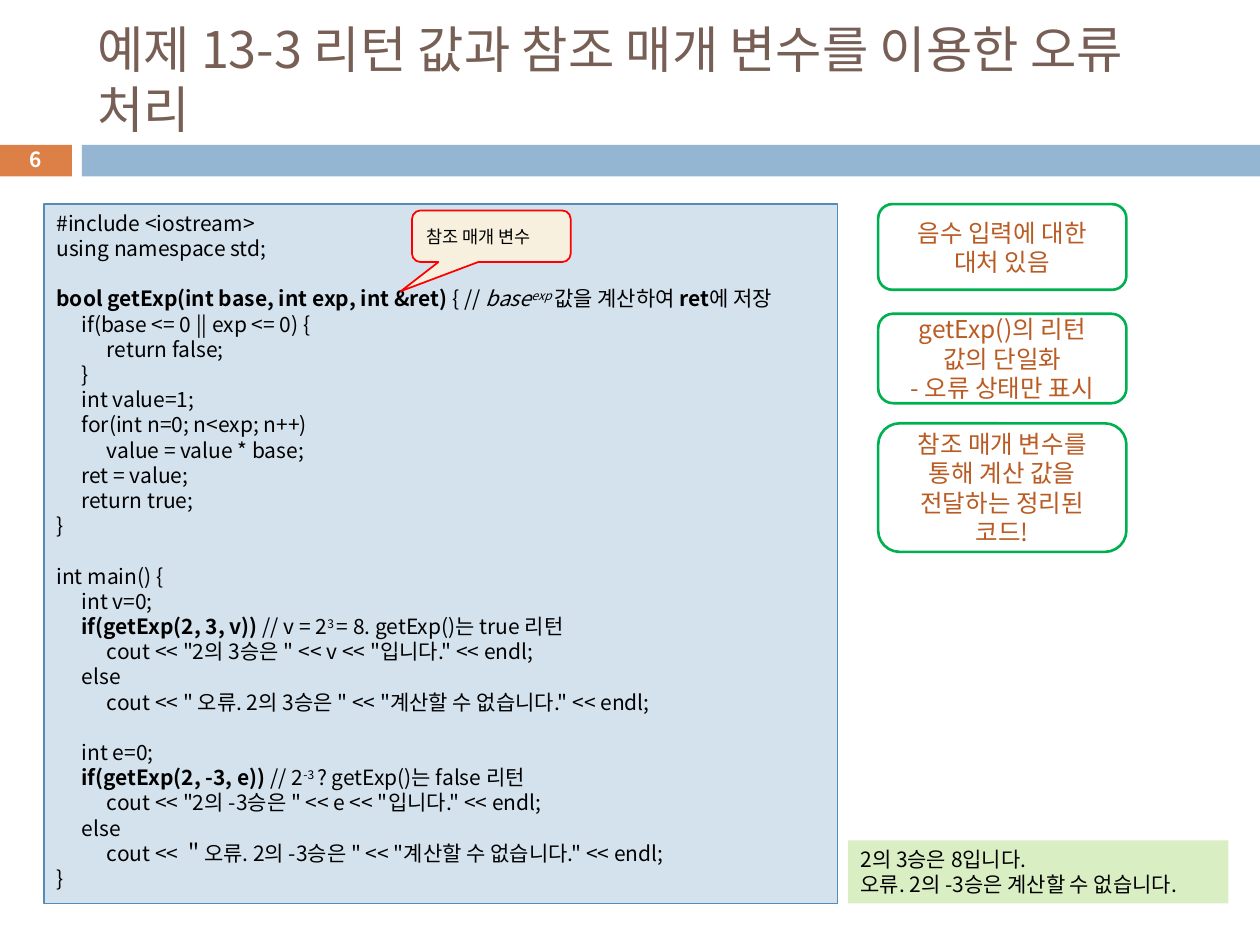
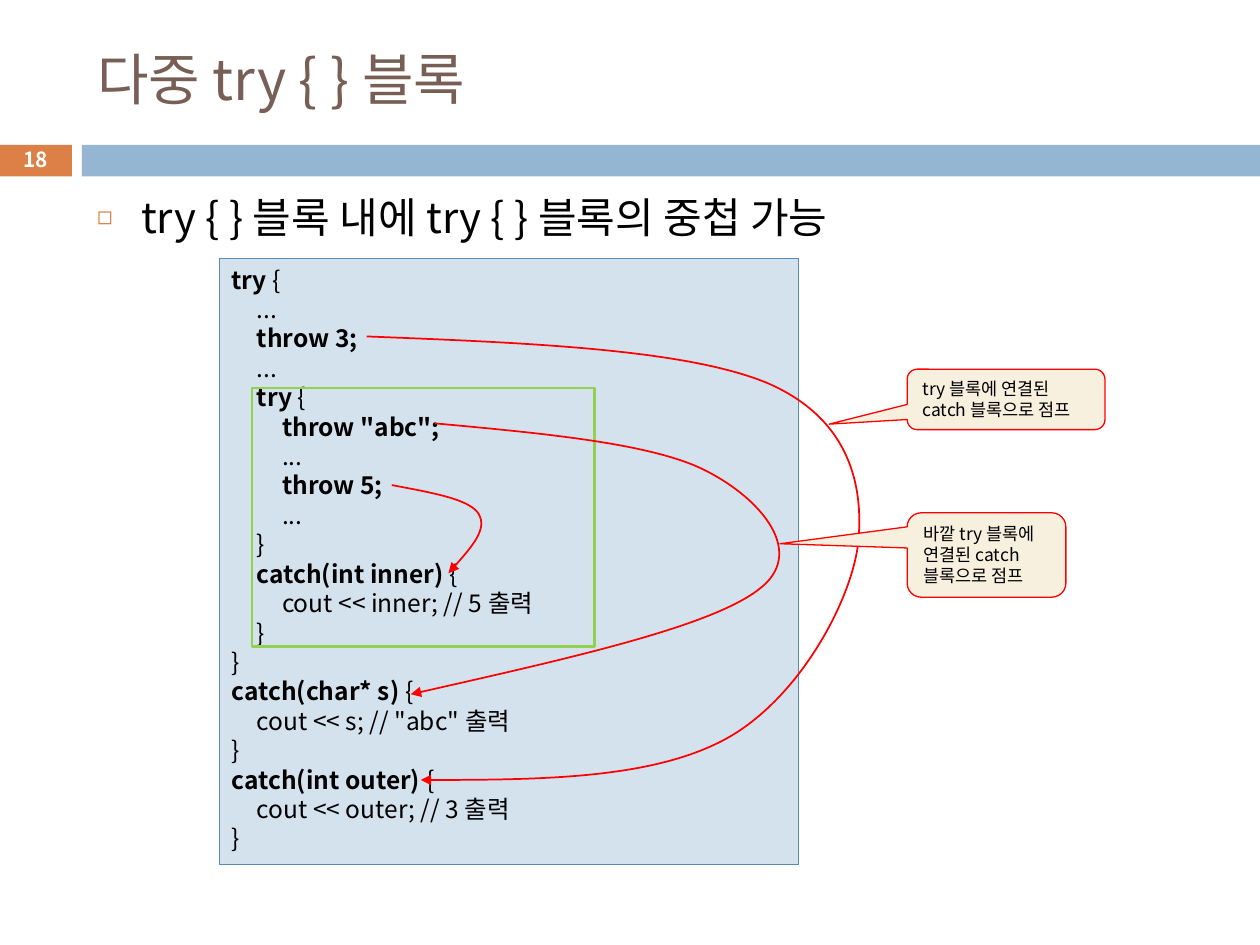
from lxml import etree
from pptx import Presentation
from pptx import util as u
from pptx.dml.color import RGBColor
from pptx.enum import shapes as kinds, text as t
from pptx.oxml.ns import qn

FONT = "Noto Sans CJK KR"
LEADING = 1.2
TAB = 0.2  # inches per code indent level

BLACK, WHITE = RGBColor(0, 0, 0), RGBColor(255, 255, 255)
BROWN = RGBColor(0x77, 0x5F, 0x55)
ORANGE = RGBColor(0xDD, 0x80, 0x47)
RUST = RGBColor(0xB9, 0x5B, 0x22)
BAND_BLUE = RGBColor(0x94, 0xB6, 0xD2)
CODE_BLUE = RGBColor(0xD4, 0xE2, 0xED)
CODE_EDGE = RGBColor(0x55, 0x8B, 0xB8)
OUTPUT_GREEN = RGBColor(0xDA, 0xEE, 0xC4)
NOTE_GREEN = RGBColor(0x00, 0xB0, 0x50)
FRAME_GREEN = RGBColor(0x92, 0xD0, 0x50)
CREAM = RGBColor(0xF7, 0xF0, 0xDE)
RED = RGBColor(255, 0, 0)

SHAPE = kinds.MSO_SHAPE
TOP, MIDDLE = t.MSO_ANCHOR.TOP, t.MSO_ANCHOR.MIDDLE
LEFT, CENTER = t.PP_ALIGN.LEFT, t.PP_ALIGN.CENTER

# Code lines: plain text, or (text, style) spans; b bold, i italic, ^ raised
REFERENCE_CODE = [
    "#include <iostream>",
    "using namespace std;",
    "",
    [("bool getExp(int base, int exp, int &ret) ", "b"), ("{ // ", ""), ("base", "i"),
     ("exp ", "i^"), ("값을 계산하여 ", ""), ("ret", "b"), ("에 저장", "")],
    "\tif(base <= 0 || exp <= 0) {",
    "\t\treturn false; ",
    "\t}",
    "\tint value=1;",
    "\tfor(int n=0; n<exp; n++) ",
    "\t\tvalue = value * base;",
    "\tret = value;",
    "\treturn true;",
    "}",
    "",
    "int main() {",
    "\tint v=0;",
    [("\t", ""), ("if(getExp(2, 3, v)) ", "b"), ("// v = 2", ""), ("3 ", "^"),
     ("= 8. getExp()는 true 리턴", "")],
    '\t\tcout << "2의 3승은 " << v << "입니다." << endl;',
    "\telse ",
    '\t\tcout << " 오류. 2의 3승은 " << "계산할 수 없습니다." << endl;',
    "",
    "\tint e=0;",
    [("\t", ""), ("if(getExp(2, -3, e)) ", "b"), ("// 2", ""), ("-3 ", "^"),
     ("? getExp()는 false 리턴", "")],
    '\t\tcout << "2의 -3승은 " << e << "입니다." << endl;',
    "\telse",
    '\t\tcout << ＂오류. 2의 -3승은 " << "계산할 수 없습니다." << endl;',
    "}",
]

NESTED_CODE = [
    [("try", "b"), (" {", "")],
    "\t...",
    [("\t", ""), ("throw 3; ", "b")],
    "\t...",
    [("\t", ""), ("try", "b"), (" {", "")],
    [("\t\t", ""), ('throw "abc";', "b")],
    "\t\t...",
    [("\t\t", ""), ("throw 5;", "b")],
    "\t\t...",
    "\t}",
    [("\t", ""), ("catch(int inner) ", "b"), ("{", "")],
    "\t\tcout << inner; // 5 출력",
    "\t}\t",
    "}",
    [("catch(char* s) ", "b"), ("{ ", "")],
    '\tcout << s; // "abc" 출력',
    "} ",
    [("catch(int outer) ", "b"), ("{ ", "")],
    "\tcout << outer; // 3 출력",
    "}",
]

# Jump arrows: a start point, then three points for each Bezier segment
JUMPS = [
    [(2.91, 2.67), (4.18, 2.72), (5.44, 2.77), (6.09, 3.04), (6.74, 3.32), (6.86, 3.85),
     (6.81, 4.32), (6.75, 4.79), (6.33, 5.56), (5.75, 5.87), (5.17, 6.18), (4.26, 6.19),
     (3.34, 6.19)],
    [(3.45, 3.36), (4.32, 3.44), (5.19, 3.52), (5.61, 3.74), (6.04, 3.96), (6.41, 4.39),
     (6.02, 4.68), (5.63, 4.98), (4.45, 5.24), (3.26, 5.51)],
    [(3.11, 3.85), (3.42, 3.91), (3.73, 3.96), (3.8, 4.08), (3.87, 4.2), (3.72, 4.37),
     (3.56, 4.55)],
]


def inches(*lengths):
    return [u.Inches(length) for length in lengths]


def style_span(span, size, color, style):
    span.font.size = u.Pt(size)
    span.font.bold = "b" in style
    span.font.italic = "i" in style
    span.font.color.rgb = color
    span.font.name = FONT
    props = span._r.get_or_add_rPr()
    etree.SubElement(props, qn("a:ea"), typeface=FONT)
    if "^" in style:
        props.set("baseline", "30000")


def write(box, lines, size, color=BLACK, align=LEFT, anchor=TOP, style=""):
    frame = box.text_frame
    frame.word_wrap = True
    frame.auto_size = t.MSO_AUTO_SIZE.NONE
    frame.vertical_anchor = anchor
    for index, line in enumerate(lines):
        para = frame.paragraphs[0] if index == 0 else frame.add_paragraph()
        para.alignment = align
        para.line_spacing = u.Pt(size * LEADING)
        spans = [(line, style)] if isinstance(line, str) else line
        for words, span_style in spans:
            if words:
                span = para.add_run()
                span.text = words
                style_span(span, size, color, span_style)


def add_box(slide, place, fill=None, edge=None, width=0.75, kind=SHAPE.RECTANGLE):
    box = slide.shapes.add_shape(kind, *inches(*place))
    box.shadow.inherit = False
    if fill is None:
        box.fill.background()
    else:
        box.fill.solid()
        box.fill.fore_color.rgb = fill
    if edge is None:
        box.line.fill.background()
    else:
        box.line.color.rgb = edge
        box.line.width = u.Pt(width)
    return box


def add_code(slide, place, lines, size):
    box = add_box(slide, place, CODE_BLUE, CODE_EDGE)
    write(box, lines, size)
    for para in box.text_frame.paragraphs:
        stops = etree.SubElement(para._p.get_or_add_pPr(), qn("a:tabLst"))
        for level in (1, 2):
            etree.SubElement(stops, qn("a:tab"), pos=str(u.Inches(TAB * level)), algn="l")


def add_callout(slide, place, words, tip, width=0.75, anchor=TOP):
    box = add_box(slide, place, CREAM, RED, width, SHAPE.ROUNDED_RECTANGULAR_CALLOUT)
    for index, share in enumerate((*tip, 0.167)):
        box.adjustments[index] = share
    write(box, [words], 10, anchor=anchor)


def add_note(slide, place, lines):
    box = add_box(slide, place, edge=NOTE_GREEN, width=1.5, kind=SHAPE.ROUNDED_RECTANGLE)
    write(box, lines, 14, RUST, CENTER, MIDDLE)


def add_jump(slide, points):
    corners = [inches(*point) for point in points]
    builder = slide.shapes.build_freeform(*corners[0], scale=1.0)
    builder.add_line_segments(corners[1:], close=False)
    curve = builder.convert_to_shape()
    curve.shadow.inherit = False
    curve.fill.background()
    curve.line.color.rgb = RED
    curve.line.width = u.Pt(1)
    # Turn each three straight segments into one Bezier segment
    steps = list(curve._element.iter(qn("a:lnTo")))
    outline = steps[0].getparent()
    for first in range(0, len(steps), 3):
        bend = etree.SubElement(outline, qn("a:cubicBezTo"))
        for step in steps[first:first + 3]:
            bend.append(step[0])
            outline.remove(step)
    etree.SubElement(curve.line._get_or_add_ln(), qn("a:tailEnd"), type="triangle")


def place_holder(holder, place):
    holder.left, holder.top, holder.width, holder.height = inches(*place)


def add_page(deck, layout, title, size, number):
    page = deck.slides.add_slide(deck.slide_layouts[layout])
    # Band and page number
    add_box(page, (-0.01, 1.15, 0.58, 0.25), ORANGE)
    add_box(page, (0.65, 1.15, 9.35, 0.25), BAND_BLUE)
    label = page.shapes.add_textbox(*inches(-0.01, 1.13, 0.58, 0.27))
    write(label, [str(number)], 11.9, WHITE, CENTER, MIDDLE, "b")
    # Title
    place_holder(page.shapes.title, (0.67, 0.25, 8.92, 0.74))
    write(page.shapes.title, [title], size, BROWN, anchor=MIDDLE)
    return page


def add_bullet(page, words):
    body = page.placeholders[1]
    place_holder(body, (0.67, 1.47, 8.92, 5.51))
    write(body, [words], 24)
    para = body.text_frame.paragraphs[0]
    para.space_before = u.Pt(7)
    props = para._p.get_or_add_pPr()
    props.set("marL", str(u.Inches(0.35)))
    props.set("indent", str(u.Inches(-0.35)))
    tint = etree.SubElement(props, qn("a:buClr"))
    etree.SubElement(tint, qn("a:srgbClr"), val=str(ORANGE))
    etree.SubElement(props, qn("a:buSzPct"), val="60000")
    etree.SubElement(props, qn("a:buChar"), char="◻")


def build_reference_page(deck):
    page = add_page(deck, 5, "예제 13-3 리턴 값과 참조 매개 변수를 이용한 오류 처리", 28.8, 6)
    add_code(page, (0.35, 1.62, 6.3, 5.55), REFERENCE_CODE, 12)
    # Program output
    output = add_box(page, (6.73, 6.67, 3.02, 0.5), OUTPUT_GREEN)
    write(output, ["2의 3승은 8입니다.", "오류. 2의 -3승은 계산할 수 없습니다."], 12)
    add_callout(page, (3.27, 1.67, 1.26, 0.41), "참조 매개 변수", (-0.57, 1.063), 1, MIDDLE)
    # Notes at equal steps down the right side
    notes = [
        (0.68, ["음수 입력에 대한 대처 있음"]),
        (0.71, ["getExp()의 리턴 값의 단일화", "- 오류 상태만 표시"]),
        (1.02, ["참조 매개 변수를 통해 계산 값을 전달하는 정리된 코드!"]),
    ]
    for row, (height, lines) in enumerate(notes):
        add_note(page, (6.97, 1.62 + 0.87 * row, 1.97, height), lines)


def build_nested_page(deck):
    page = add_page(deck, 1, "다중 try { } 블록", 32, 18)
    add_bullet(page, "try { } 블록 내에 try { } 블록의 중첩 가능")
    add_code(page, (1.74, 2.05, 4.6, 4.81), NESTED_CODE, 14)
    # Inner block frame, jumps and their callouts
    add_box(page, (2, 3.08, 2.72, 2.05), edge=FRAME_GREEN, width=1.5)
    for points in JUMPS:
        add_jump(page, points)
    add_callout(page, (7.2, 2.93, 1.57, 0.48), "try 블록에 연결된 catch 블록으로 점프",
                (-0.894, 0.409))
    add_callout(page, (7.2, 4.07, 1.26, 0.67), "바깥 try 블록에 연결된 catch 블록으로 점프",
                (-1.3, -0.133))


def main():
    deck = Presentation()
    deck.slide_width, deck.slide_height = inches(10, 7.5)
    build_reference_page(deck)
    build_nested_page(deck)
    deck.save("out.pptx")


main()
